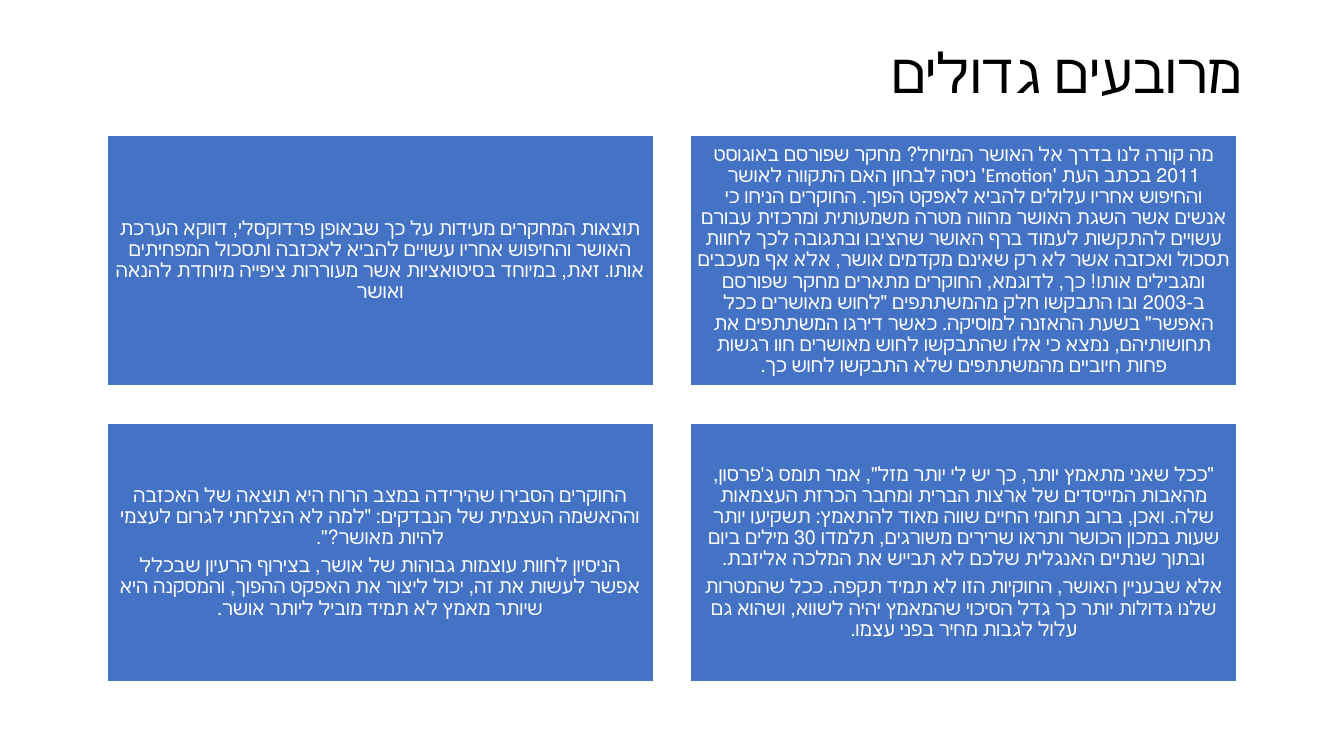
from pptx import Presentation
from pptx.dml.color import RGBColor
from pptx.enum.shapes import MSO_SHAPE
from pptx.enum.text import MSO_ANCHOR, PP_ALIGN
from pptx.util import Inches, Pt

BLUE = RGBColor(0x44, 0x72, 0xC4)
WHITE = RGBColor(0xFF, 0xFF, 0xFF)
BLACK = RGBColor(0x00, 0x00, 0x00)
FONT = "Calibri"

TITLE = "מרובעים גדולים"
TOP_LEFT = [
    "תוצאות המחקרים מעידות על כך שבאופן פרדוקסלי, דווקא הערכת האושר והחיפוש אחריו "
    "עשויים להביא לאכזבה ותסכול המפחיתים אותו. זאת, במיוחד בסיטואציות אשר מעוררות "
    "ציפייה מיוחדת להנאה ואושר",
]
TOP_RIGHT = [
    "מה קורה לנו בדרך אל האושר המיוחל? מחקר שפורסם באוגוסט 2011 בכתב העת 'Emotion' "
    "ניסה לבחון האם התקווה לאושר והחיפוש אחריו עלולים להביא לאפקט הפוך. החוקרים הניחו "
    "כי אנשים אשר השגת האושר מהווה מטרה משמעותית ומרכזית עבורם עשויים להתקשות לעמוד "
    "ברף האושר שהציבו ובתגובה לכך לחוות תסכול ואכזבה אשר לא רק שאינם מקדמים אושר, אלא "
    "אף מעכבים ומגבילים אותו! כך, לדוגמא, החוקרים מתארים מחקר שפורסם ב-2003 ובו התבקשו "
    "חלק מהמשתתפים \"לחוש מאושרים ככל האפשר\" בשעת ההאזנה למוסיקה. כאשר דירגו המשתתפים "
    "את תחושותיהם, נמצא כי אלו שהתבקשו לחוש מאושרים חוו רגשות פחות חיוביים מהמשתתפים "
    "שלא התבקשו לחוש כך.",
]
BOTTOM_LEFT = [
    "החוקרים הסבירו שהירידה במצב הרוח היא תוצאה של האכזבה וההאשמה העצמית של הנבדקים: "
    "\"למה לא הצלחתי לגרום לעצמי להיות מאושר?\".",
    "הניסיון לחוות עוצמות גבוהות של אושר, בצירוף הרעיון שבכלל אפשר לעשות את זה, יכול "
    "ליצור את האפקט ההפוך, והמסקנה היא שיותר מאמץ לא תמיד מוביל ליותר אושר.",
]
BOTTOM_RIGHT = [
    "\"ככל שאני מתאמץ יותר, כך יש לי יותר מזל\", אמר תומס ג'פרסון, מהאבות המייסדים של "
    "ארצות הברית ומחבר הכרזת העצמאות שלה. ואכן, ברוב תחומי החיים שווה מאוד להתאמץ: "
    "תשקיעו יותר שעות במכון הכושר ותראו שרירים משורגים, תלמדו 30 מילים ביום ובתוך שנתיים "
    "האנגלית שלכם לא תבייש את המלכה אליזבת.",
    "אלא שבעניין האושר, החוקיות הזו לא תמיד תקפה. ככל שהמטרות שלנו גדולות יותר כך גדל "
    "הסיכוי שהמאמץ יהיה לשווא, ושהוא גם עלול לגבות מחיר בפני עצמו.",
]
ROWS = [(2.49, [TOP_LEFT, TOP_RIGHT]), (2.56, [BOTTOM_LEFT, BOTTOM_RIGHT])]


def format_paragraph(paragraph, size, color, alignment):
    """Format a right-to-left paragraph and its runs."""
    paragraph.alignment = alignment
    paragraph.line_spacing = 0.9
    paragraph._p.get_or_add_pPr().set("rtl", "1")
    for run in paragraph.runs:
        run.font.size = Pt(size)
        run.font.name = FONT
        run.font.color.rgb = color


def add_title(slide, left, top, width, height):
    """Place and format the slide title."""
    title = slide.shapes.title
    title.left, title.top = Inches(left), Inches(top)
    title.width, title.height = Inches(width), Inches(height)
    text_frame = title.text_frame
    text_frame.text = TITLE
    text_frame.vertical_anchor = MSO_ANCHOR.MIDDLE
    format_paragraph(text_frame.paragraphs[0], 39.6, BLACK, PP_ALIGN.RIGHT)


def add_square(slide, paragraphs, left, top, width, height):
    """Add one blue block with centred text."""
    shape = slide.shapes.add_shape(
        MSO_SHAPE.RECTANGLE, Inches(left), Inches(top), Inches(width), Inches(height)
    )
    shape.shadow.inherit = False
    shape.fill.solid()
    shape.fill.fore_color.rgb = BLUE
    shape.line.color.rgb = WHITE
    shape.line.width = Pt(1)
    text_frame = shape.text_frame
    text_frame.word_wrap = True
    text_frame.vertical_anchor = MSO_ANCHOR.MIDDLE
    text_frame.margin_left = text_frame.margin_right = Inches(0.06)
    text_frame.margin_top = text_frame.margin_bottom = Inches(0.06)
    text_frame.text = "\n".join(paragraphs)
    for paragraph in text_frame.paragraphs:
        format_paragraph(paragraph, 14, WHITE, PP_ALIGN.CENTER)
        paragraph.space_after = Pt(4.9)


def add_square_grid(slide, left, top, width, gap):
    """Lay out the rows of blocks with equal gaps."""
    for height, squares in ROWS:
        square_width = (width - gap * (len(squares) - 1)) / len(squares)
        for column, paragraphs in enumerate(squares):
            square_left = left + column * (square_width + gap)
            add_square(slide, paragraphs, square_left, top, square_width, height)
        top += height + gap


def main():
    """Build and save the presentation."""
    presentation = Presentation()
    presentation.slide_width = Inches(13.33)
    presentation.slide_height = Inches(7.5)
    slide = presentation.slides.add_slide(presentation.slide_layouts[5])
    add_title(slide, 0.92, 0.4, 11.5, 0.7)
    add_square_grid(slide, 1.06, 1.34, 11.21, 0.37)
    presentation.save("out.pptx")


if __name__ == "__main__":
    main()
